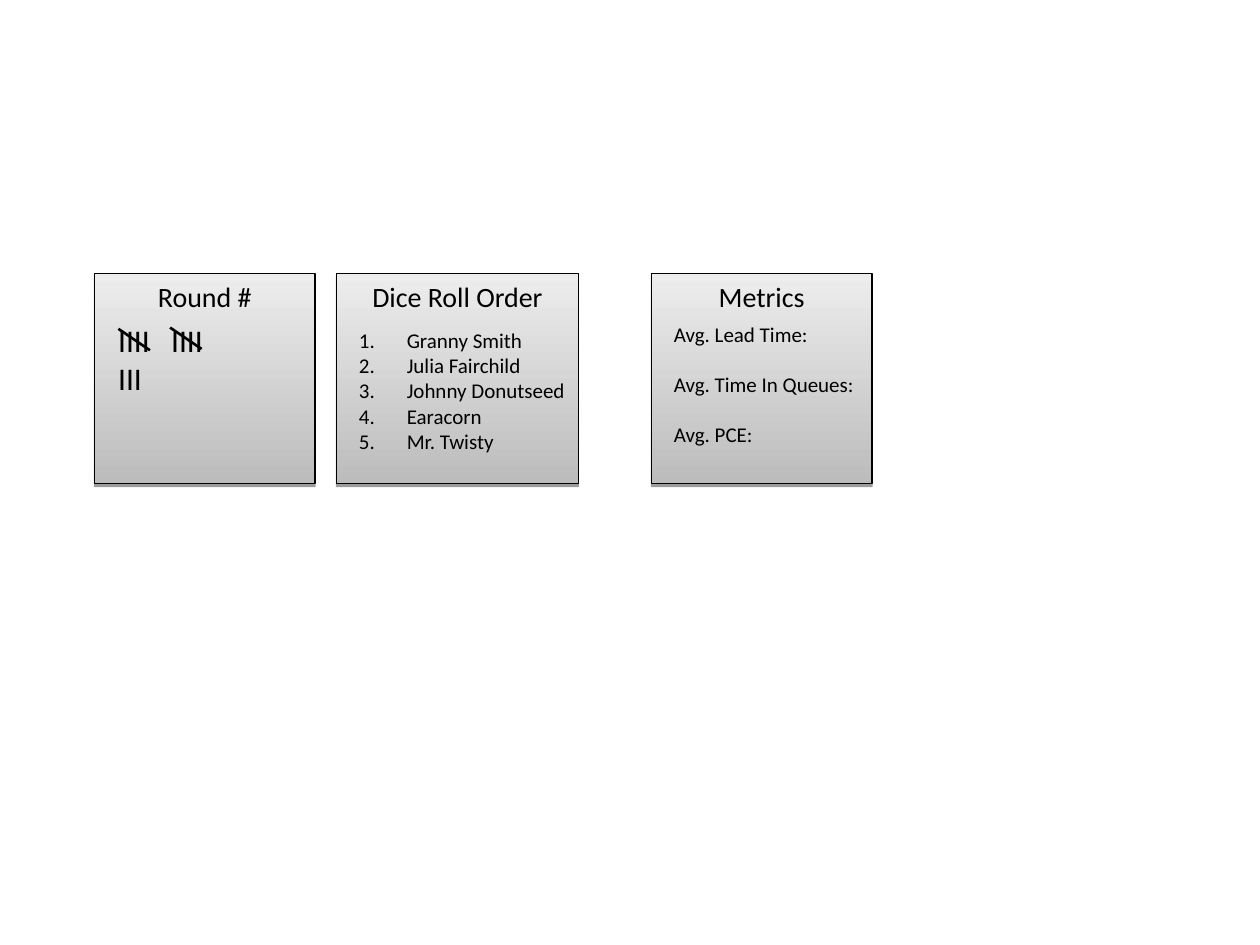
from lxml.etree import SubElement
from pptx import Presentation
from pptx.dml.color import RGBColor
from pptx.enum.shapes import MSO_CONNECTOR, MSO_SHAPE
from pptx.enum.text import MSO_ANCHOR, PP_ALIGN
from pptx.oxml.ns import qn
from pptx.util import Inches, Pt


def color(value):
    return RGBColor.from_string(value)


def apply_format(target, values):
    for name, value in values.items():
        setattr(target, name, value)


class Board:
    font = "Calibri"
    ink = "000000"
    gradient = ("BCBCBC", "EDEDED")
    card_top = 2.17
    card_height = 1.67

    def __init__(self, slide):
        self.slide = slide

    def start_group(self):
        self.shapes = self.slide.shapes.add_group_shape().shapes

    def fill_text(self, frame, lines, size, **formats):
        apply_format(frame, {"word_wrap": True, "vertical_anchor": MSO_ANCHOR.TOP})
        for index, line in enumerate(lines):
            para = frame.paragraphs[0] if index == 0 else frame.add_paragraph()
            apply_format(para, {"alignment": PP_ALIGN.LEFT, **formats})
            span = para.add_run()
            span.text = line
            apply_format(span.font, {"name": self.font, "size": Pt(size)})
            span.font.color.rgb = color(self.ink)

    def card(self, left, width, title):
        self.start_group()
        box = self.shapes.add_shape(
            MSO_SHAPE.RECTANGLE, Inches(left), Inches(self.card_top),
            Inches(width), Inches(self.card_height))
        box.fill.gradient()
        box.fill.gradient_angle = 90
        for stop, shade in zip(box.fill.gradient_stops, self.gradient):
            stop.color.rgb = color(shade)
        box.line.color.rgb = color(self.ink)
        box.line.width = Pt(0.75)
        self.drop_shadow(box)
        self.fill_text(box.text_frame, [title], 16, alignment=PP_ALIGN.CENTER)

    def drop_shadow(self, box):
        box.shadow.inherit = False
        effects = box._element.spPr.find(qn("a:effectLst"))
        shadow = SubElement(effects, qn("a:outerShdw"), blurRad="0",
                            dist=str(Pt(1.6)), dir="5400000", rotWithShape="0")
        shade = SubElement(shadow, qn("a:srgbClr"), val=self.ink)
        SubElement(shade, qn("a:alpha"), val="38000")

    def text(self, left, top, width, height, lines, size, **formats):
        box = self.shapes.add_textbox(
            Inches(left), Inches(top), Inches(width), Inches(height))
        self.fill_text(box.text_frame, lines, size, **formats)
        return box.text_frame.paragraphs

    def number(self, paras, indent):
        for para in paras:
            properties = para._p.get_or_add_pPr()
            properties.set("marL", str(Inches(indent)))
            properties.set("indent", str(-Inches(indent)))
            SubElement(properties, qn("a:buAutoNum"), type="arabicPeriod")

    def tab_stop(self, para, position):
        stops = SubElement(para._p.get_or_add_pPr(), qn("a:tabLst"))
        SubElement(stops, qn("a:tab"), pos=str(Inches(position)), algn="l")

    def strike(self, left, top):
        line = self.shapes.add_connector(
            MSO_CONNECTOR.STRAIGHT, Inches(left), Inches(top),
            Inches(left + 0.25), Inches(top + 0.17))
        line.line.color.rgb = color(self.ink)
        line.line.width = Pt(1.5)
        SubElement(line._element.spPr, qn("a:effectLst"))


def main():
    deck = Presentation()
    apply_format(deck, {"slide_width": Inches(10), "slide_height": Inches(7.5)})
    board = Board(deck.slides.add_slide(deck.slide_layouts[6]))

    board.card(0.75, 1.75, "Round #")
    tally = board.text(0.84, 2.5, 1, 0.7, ["IIII\tIIII", "III"], 18)
    board.tab_stop(tally[0], 0.42)
    board.strike(0.94, 2.61)
    board.strike(1.35, 2.6)

    board.card(2.67, 1.92, "Dice Roll Order")
    players = ["Granny Smith", "Julia Fairchild", "Johnny Donutseed",
               "Earacorn", "Mr. Twisty"]
    board.number(board.text(2.75, 2.55, 1.85, 1.51, players, 12), 0.38)

    board.card(5.17, 1.75, "Metrics")
    metrics = ["Avg. Lead Time:", "Avg. Time In Queues:", "Avg. PCE:"]
    board.text(5.25, 2.5, 1.85, 1.31, metrics, 12, space_after=Pt(14.4))

    deck.save("out.pptx")


if __name__ == "__main__":
    main()
